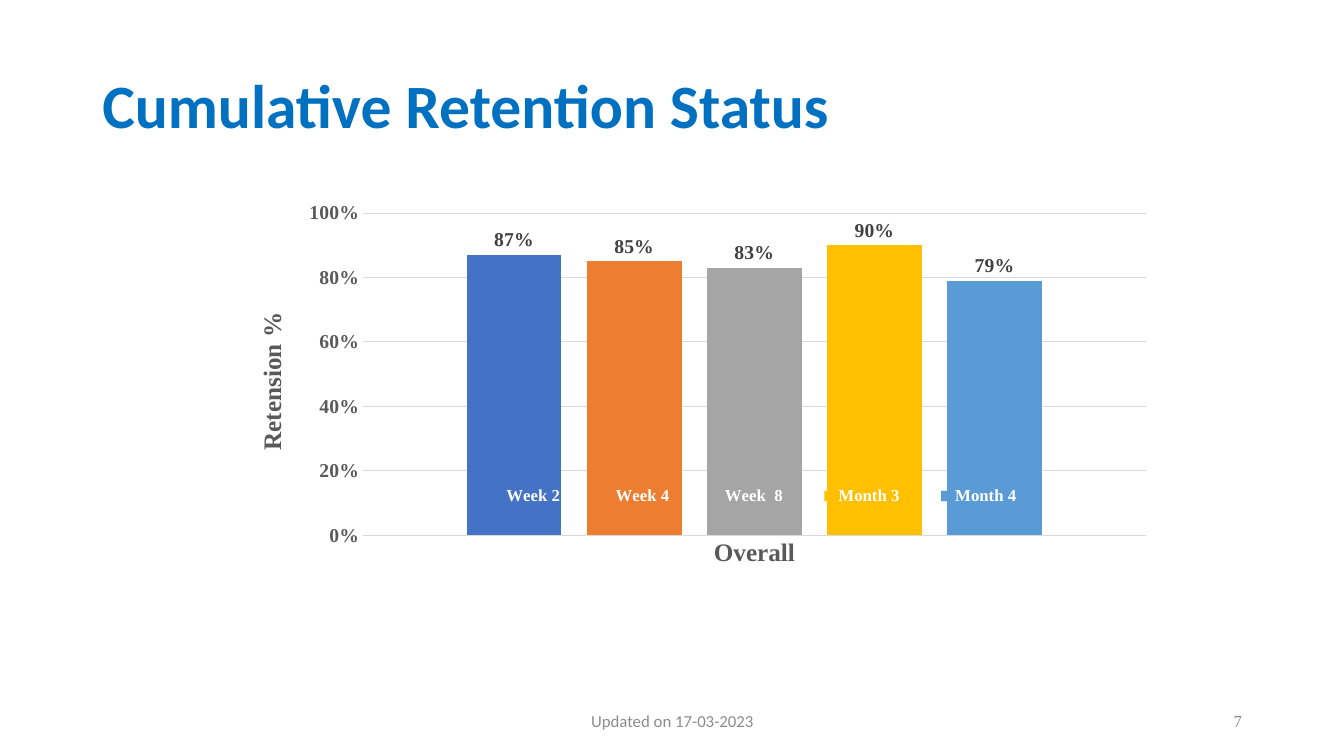
"""Build the cumulative retention status slide."""
import lxml.etree
import pptx
import pptx.chart.data
import pptx.dml.color
import pptx.enum.chart
import pptx.enum.text
import pptx.oxml.ns
import pptx.util

Cm, Pt = pptx.util.Cm, pptx.util.Pt
ALIGN = pptx.enum.text.PP_ALIGN
CHART = pptx.enum.chart
SERIF = "Times New Roman"
GREY, GRID = "595959", "D9D9D9"

TEXTS = [
    ("Cumulative Retention Status", (2.33, 0.79, 29.21, 3.68), 44, "Calibri", "0070C0", True, ALIGN.LEFT),
    ("7", (23.93, 17.65, 7.62, 1.02), 12, SERIF, "8C8C8C", False, ALIGN.RIGHT),
    ("Updated on 17-03-2023", (11.23, 17.65, 11.43, 1.02), 12, "Calibri", "8C8C8C", False, ALIGN.CENTER),
]
CHART_BOX = (5.87, 4.85, 23.47, 10.41)
RETENTION = [
    ("Week 2", 0.87, "4472C4"),
    ("Week 4", 0.85, "ED7D31"),
    ("Week  8", 0.83, "A5A5A5"),
    ("Month 3", 0.90, "FFC000"),
    ("Month 4", 0.79, "5B9BD5"),
]


def rgb(color):
    return pptx.dml.color.RGBColor.from_string(color)


def style(font, size, color, name=SERIF, bold=True):
    font.size, font.name, font.bold = Pt(size), name, bold
    font.color.rgb = rgb(color)


def add_text(slide, text, box, size, name, color, bold, align):
    tf = slide.shapes.add_textbox(*map(Cm, box)).text_frame
    tf.word_wrap = True
    tf.vertical_anchor = pptx.enum.text.MSO_ANCHOR.MIDDLE
    p = tf.paragraphs[0]
    p.alignment = align
    r = p.add_run()
    r.text = text
    style(r.font, size, color, name, bold)


def place(element, index, **fractions):
    """Give a chart part a manual layout in fractions of the chart."""
    qn = pptx.oxml.ns.qn
    for old in element.findall(qn("c:layout")):
        element.remove(old)
    layout = lxml.etree.Element(qn("c:layout"))
    manual = lxml.etree.SubElement(layout, qn("c:manualLayout"))
    if index == 0:
        lxml.etree.SubElement(manual, qn("c:layoutTarget"), val="inner")
    for tag in ("xMode", "yMode"):
        lxml.etree.SubElement(manual, qn("c:" + tag), val="edge")
    for tag, value in fractions.items():
        lxml.etree.SubElement(manual, qn("c:" + tag), val=str(value))
    element.insert(index, layout)


def add_retention_chart(slide):
    data = pptx.chart.data.CategoryChartData(number_format="0%")
    data.categories = ["Overall"]
    for name, value, _ in RETENTION:
        data.add_series(name, [value])
    chart = slide.shapes.add_chart(
        CHART.XL_CHART_TYPE.COLUMN_CLUSTERED, *map(Cm, CHART_BOX), data).chart
    chart.has_title = False
    style(chart.font, 14, "000000")

    plot = chart.plots[0]
    plot.gap_width, plot.overlap, plot.vary_by_categories = 219, -27, False
    for series, (_, _, color) in zip(plot.series, RETENTION):
        series.format.fill.solid()
        series.format.fill.fore_color.rgb = rgb(color)
        labels = series.data_labels
        labels.show_value = True
        labels.number_format, labels.number_format_is_linked = "0%", False
        labels.position = CHART.XL_LABEL_POSITION.OUTSIDE_END
        style(labels.font, 14, "404040")

    months, rate = chart.category_axis, chart.value_axis
    for axis, size in ((months, 18), (rate, 14)):
        axis.major_tick_mark = axis.minor_tick_mark = CHART.XL_TICK_MARK.NONE
        style(axis.tick_labels.font, size, GREY)
    rate.minimum_scale, rate.maximum_scale, rate.major_unit = 0, 1, 0.2
    rate.tick_labels.number_format = "0%"
    rate.tick_labels.number_format_is_linked = False
    rate.has_major_gridlines = True
    rate.format.line.fill.background()
    for line in (months.format.line, rate.major_gridlines.format.line):
        line.color.rgb, line.width = rgb(GRID), Pt(0.75)
    r = rate.axis_title.text_frame.paragraphs[0].add_run()
    r.text = "Retension %"
    style(r.font, 18, GREY)

    chart.has_legend = True
    legend = chart.legend
    legend.position = CHART.XL_LEGEND_POSITION.BOTTOM
    legend.include_in_layout = True
    style(legend.font, 12, "FFFFFF")

    plot_area = chart._chartSpace.chart.plotArea
    place(plot_area, 0, x=0.14, y=0.05, w=0.84, h=0.78)
    place(rate.axis_title._element, 1, x=0.02, y=0.28)
    place(legend._element, 1, x=0.24, y=0.69, w=0.64, h=0.09)


prs = pptx.Presentation()
prs.slide_width, prs.slide_height = Cm(33.87), Cm(19.05)
s = prs.slides.add_slide(prs.slide_layouts[6])
for item in TEXTS:
    add_text(s, *item)
add_retention_chart(s)
prs.save("out.pptx")
